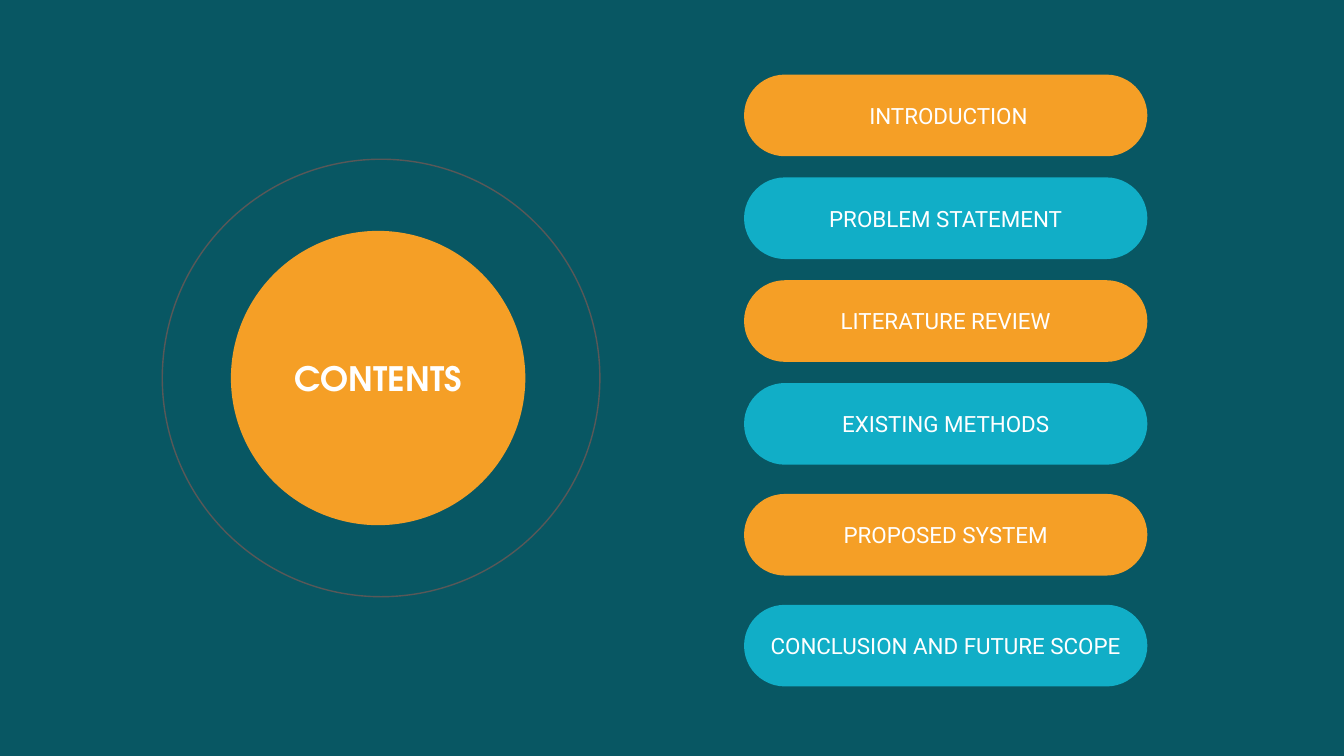
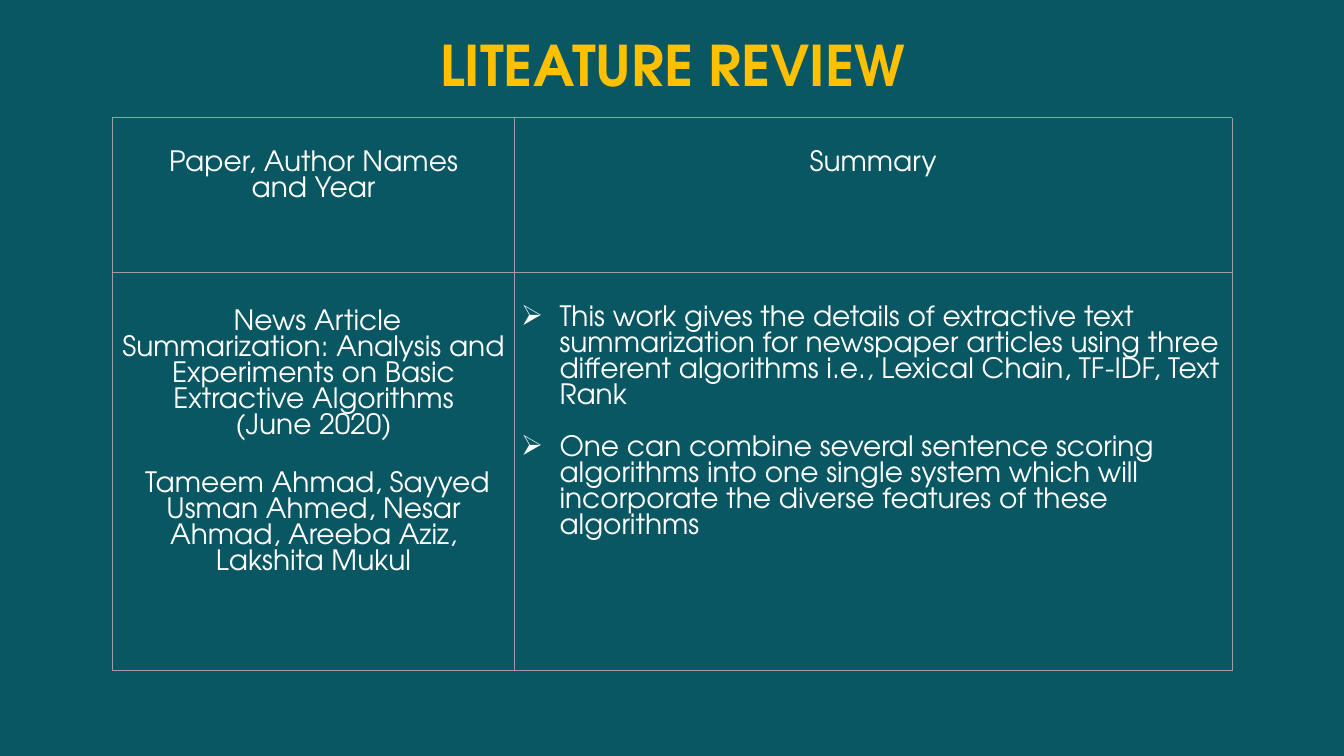
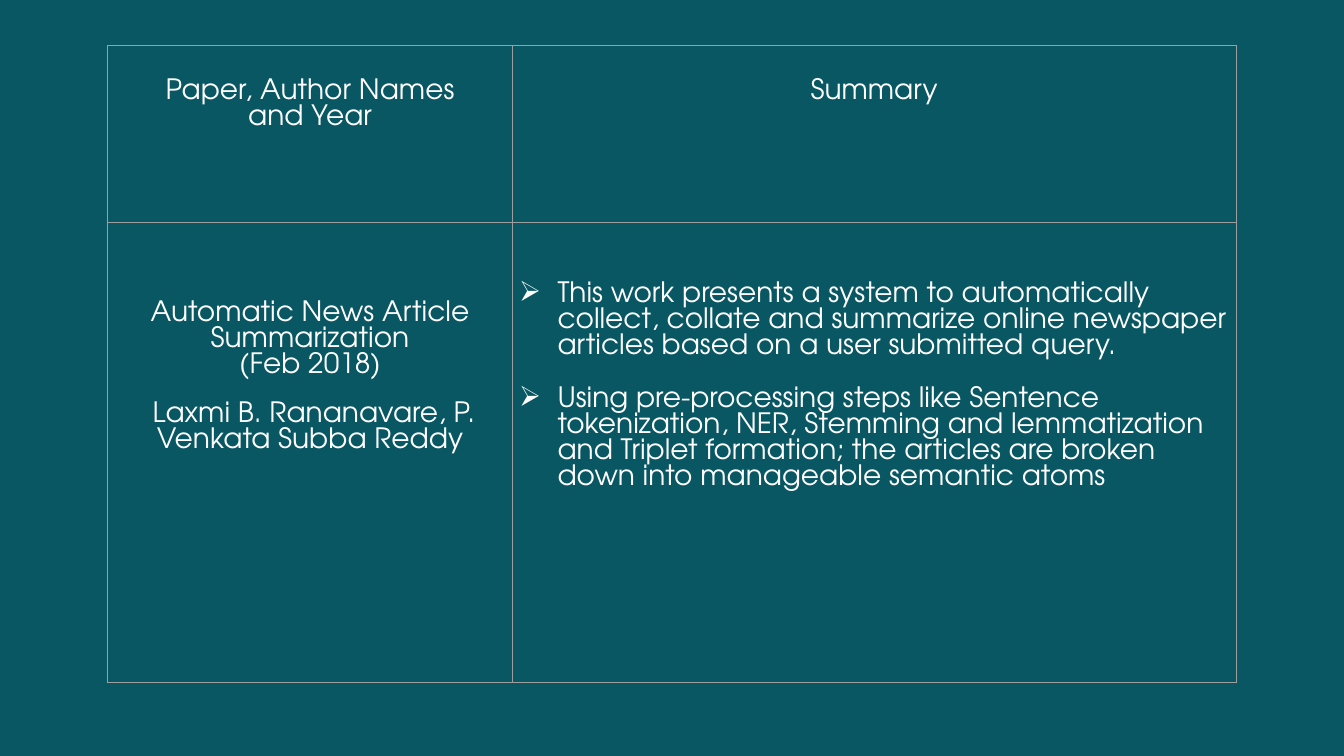
"""Build a contents slide and two literature review tables."""
from lxml import etree
from pptx import Presentation
from pptx.dml.color import RGBColor
from pptx.enum.shapes import MSO_SHAPE
from pptx.enum.text import MSO_ANCHOR, PP_ALIGN
from pptx.oxml.ns import qn
from pptx.util import Inches, Pt

OVAL = MSO_SHAPE.OVAL
PILL = MSO_SHAPE.ROUNDED_RECTANGLE
MIDDLE = MSO_ANCHOR.MIDDLE
CENTER, LEFT = PP_ALIGN.CENTER, PP_ALIGN.LEFT

TEAL = RGBColor(0x08, 0x57, 0x63)
ORANGE = RGBColor(0xF5, 0x9F, 0x26)
CYAN = RGBColor(0x11, 0xAE, 0xC7)
GOLD = RGBColor(0xFF, 0xC0, 0x00)
WHITE = RGBColor(0xFF, 0xFF, 0xFF)
GRAY = RGBColor(0x58, 0x58, 0x58)
RULE = RGBColor(0x9E, 0x9E, 0x9E)
HEAD, BODY = "TeX Gyre Adventor", "Roboto"


def style(para, font, size, color=WHITE, bold=False, align=CENTER):
    para.alignment = align
    for run in para.runs:
        run.font.name = font
        run.font.size = Pt(size)
        run.font.bold = bold
        run.font.color.rgb = color


def add_shape(slide, kind, box, fill=None):
    shape = slide.shapes.add_shape(kind, *[Inches(v) for v in box])
    shape.shadow.inherit = False
    if fill is None:
        shape.fill.background()
    else:
        shape.fill.solid()
        shape.fill.fore_color.rgb = fill
        shape.line.fill.background()
    shape.text_frame.word_wrap = True
    shape.text_frame.vertical_anchor = MIDDLE
    return shape


deck = Presentation()
deck.slide_width, deck.slide_height = Inches(13.33), Inches(7.5)
slides = []
for _ in range(3):
    slide = deck.slides.add_slide(deck.slide_layouts[6])
    slide.background.fill.solid()
    slide.background.fill.fore_color.rgb = TEAL
    slides.append(slide)
menu, review, more = slides

ring = add_shape(menu, OVAL, (1.61, 1.58, 4.34, 4.34))
ring.line.color.rgb = GRAY
ring.line.width = Pt(1)
disc = add_shape(menu, OVAL, (2.29, 2.29, 2.92, 2.92), ORANGE)
disc.text_frame.text = "CONTENTS"
style(disc.text_frame.paragraphs[0], HEAD, 24, bold=True)

topics = [" INTRODUCTION", "PROBLEM STATEMENT", "LITERATURE REVIEW",
          "EXISTING METHODS", "PROPOSED SYSTEM", "CONCLUSION AND FUTURE SCOPE"]
for i, topic in enumerate(topics):
    top = 0.74 + 1.02 * i + 0.08 * max(0, i - 3)
    pill = add_shape(menu, PILL, (7.38, top, 4, 0.81), (ORANGE, CYAN)[i % 2])
    pill.adjustments[0] = 0.5
    pill.text_frame.text = topic
    style(pill.text_frame.paragraphs[0], BODY, 16)

title = review.shapes.add_textbox(Inches(4.23), Inches(0.25), Inches(4.88), Inches(0.77))
title.text_frame.word_wrap = True
title.text_frame.vertical_anchor = MIDDLE
title.text_frame.text = "LITEATURE REVIEW"
style(title.text_frame.paragraphs[0], HEAD, 40, GOLD, True)

heads = [(0.33, 0, ["Paper, Author Names", "and Year"]), (0.33, 0, ["Summary"])]
tables = [
    (review, 1.12, 1.17, (3.98, 7.12), (1.53, 3.95), [
        (0.37, 23, [
            " News Article Summarization: Analysis and Experiments on Basic Extractive Algorithms",
            "(June 2020)",
            " Tameem Ahmad, Sayyed Usman Ahmed, Nesar Ahmad, Areeba Aziz, Lakshita Mukul"]),
        (0.33, 18.6, [
            "This work gives the details of extractive text summarization for newspaper articles "
            "using three different algorithms i.e., Lexical Chain, TF-IDF, Text Rank",
            "One can combine several sentence scoring algorithms into one single system which "
            "will incorporate the diverse features of these algorithms"])]),
    (more, 1.07, 0.45, (4.01, 7.18), (1.76, 4.56), [
        (0.77, 16.5, [
            "Automatic News Article Summarization",
            "(Feb 2018)",
            " Laxmi B. Rananavare, P. Venkata Subba Reddy"]),
        (0.59, 18.6, [
            "This work presents a system to automatically collect, collate and summarize online "
            "newspaper articles based on a user submitted query.",
            "Using pre-processing steps like Sentence tokenization, NER, Stemming and "
            "lemmatization and Triplet formation; the articles are broken down into manageable "
            "semantic atoms"])]),
]
for slide, left, top, cols, rows, body in tables:
    frame = slide.shapes.add_table(2, 2, Inches(left), Inches(top),
                                   Inches(sum(cols)), Inches(sum(rows)))
    table = frame.table
    table.first_row = table.horz_banding = False
    for col, width in zip(table.columns, cols):
        col.width = Inches(width)
    for row, height in zip(table.rows, rows):
        row.height = Inches(height)
    for i, (cell, (inset, gap, lines)) in enumerate(zip(table.iter_cells(), heads + body)):
        cell.margin_left = cell.margin_right = cell.margin_bottom = Inches(0.07)
        cell.margin_top = Inches(inset)
        props = cell._tc.get_or_add_tcPr()
        for side in ("lnL", "lnR", "lnT", "lnB"):
            edge = etree.SubElement(props, qn("a:" + side), w=str(Pt(0.75)))
            paint = etree.SubElement(edge, qn("a:solidFill"))
            etree.SubElement(paint, qn("a:srgbClr"), val=str(RULE))
        cell.fill.background()
        cell.text_frame.text = "\n".join(lines)
        paras = cell.text_frame.paragraphs
        listed = i == 3
        for para in paras:
            style(para, HEAD, 20, align=LEFT if listed else CENTER)
            para.space_before = Pt(0)
        if gap:
            paras[-1].space_before = Pt(gap)
        if listed:
            for para in paras:
                form = para._p.get_or_add_pPr()
                form.set("marL", str(Inches(0.38)))
                form.set("indent", str(-Inches(0.38)))
                tint = etree.SubElement(form, qn("a:buClr"))
                etree.SubElement(tint, qn("a:srgbClr"), val=str(WHITE))
                etree.SubElement(form, qn("a:buFont"), typeface="Wingdings", charset="2")
                etree.SubElement(form, qn("a:buChar"), char="Ø")

deck.save("out.pptx")
